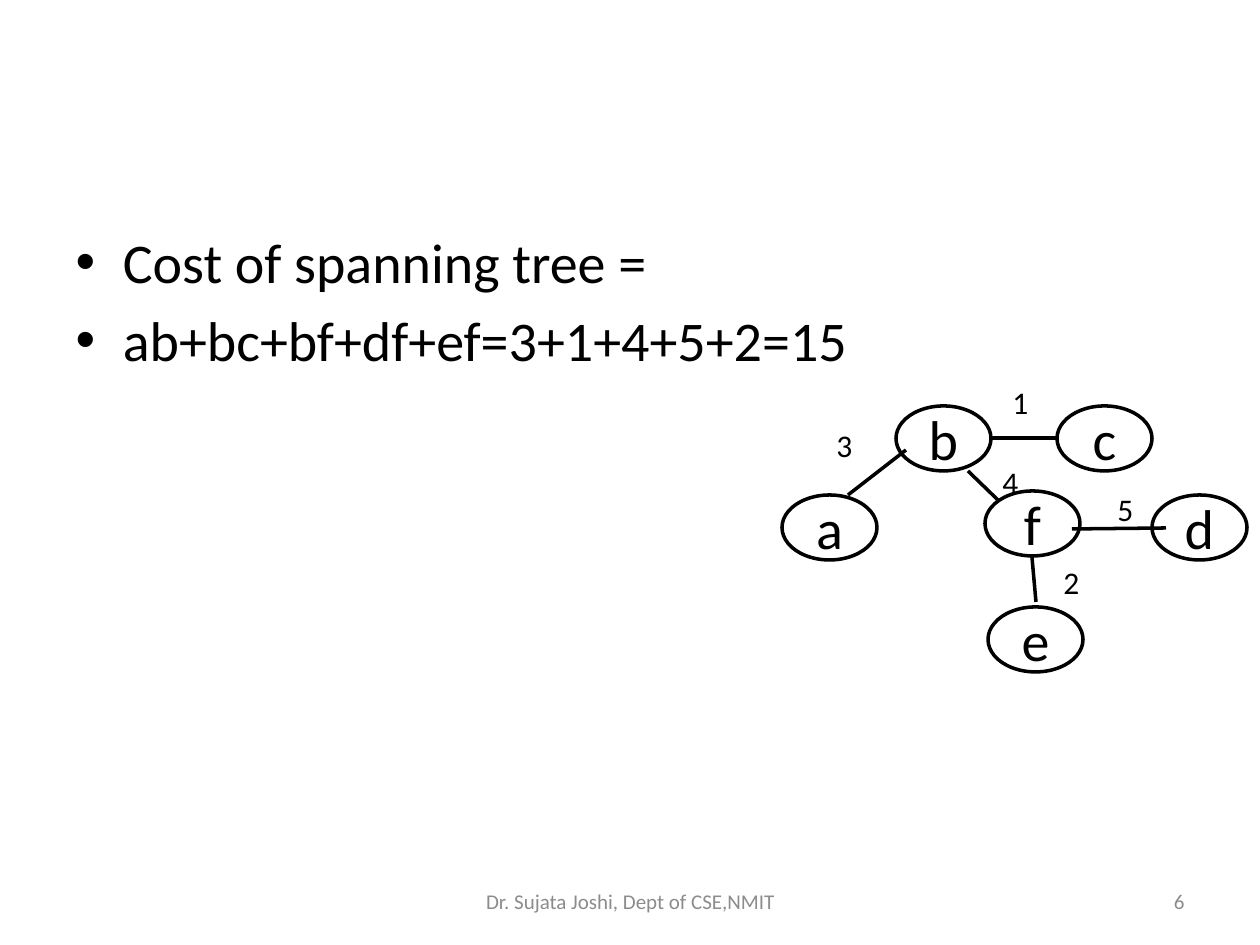
import pptx
import pptx.dml.color
import pptx.enum.shapes
import pptx.enum.text
import pptx.util
from lxml import etree

EMU_PER_PX = 914400 / 126
FONT = "Calibri"
COLORS = {"ink": "000000", "paper": "FFFFFF", "footer": "8C8C8C"}
ALIGN = pptx.enum.text.PP_ALIGN
ANCHOR = pptx.enum.text.MSO_ANCHOR

NODE_SIZE = (95, 65)
LABEL_SIZE = (48, 53)
# Positions are relative to the top left corner of the graph.
NODES = {
    "b": (114, 30), "c": (275, 30), "f": (203, 115),
    "e": (206, 231), "a": (0, 119), "d": (370, 119),
}
# weight, start, end, label position
EDGES = [
    ("1", (210, 62), (275, 62), (218, 1)),
    ("2", (254, 226), (250, 181), (269, 181)),
    ("3", (66, 119), (124, 74), (42, 44)),
    ("4", (186, 95), (217, 125), (208, 81)),
    ("5", (290, 153), (384, 152), (323, 108)),
]


def px(*lengths):
    """Turn px into a list of EMU lengths."""
    return [pptx.util.Emu(round(length * EMU_PER_PX)) for length in lengths]


def rgb(name):
    return pptx.dml.color.RGBColor.from_string(COLORS[name])


def style_line(line):
    line.color.rgb = rgb("ink")
    line.width = pptx.util.Pt(2)


def write(shape, text, size, color="ink", align=ALIGN.LEFT, anchor=ANCHOR.TOP):
    frame = shape.text_frame
    frame.word_wrap = True
    frame.vertical_anchor = anchor
    paragraph = frame.paragraphs[0]
    paragraph.text = text
    paragraph.alignment = align
    paragraph.font.name = FONT
    paragraph.font.size = pptx.util.Pt(size)
    paragraph.font.color.rgb = rgb(color)


def add_node(slide, name, left, top):
    node = slide.shapes.add_shape(
        pptx.enum.shapes.MSO_SHAPE.OVAL, *px(left, top, *NODE_SIZE))
    node.shadow.inherit = False
    node.fill.solid()
    node.fill.fore_color.rgb = rgb("paper")
    style_line(node.line)
    write(node, name, 32, align=ALIGN.CENTER, anchor=ANCHOR.MIDDLE)


def add_edge(slide, start, end):
    edge = slide.shapes.add_connector(
        pptx.enum.shapes.MSO_CONNECTOR.STRAIGHT, *px(*start, *end))
    style_line(edge.line)
    etree.SubElement(edge._element.spPr, pptx.oxml.ns.qn("a:effectLst"))


def add_graph(slide, left, top):
    def place(point):
        return left + point[0], top + point[1]

    for name, corner in NODES.items():
        add_node(slide, name, *place(corner))
    for weight, start, end, corner in EDGES:
        add_edge(slide, place(start), place(end))
        label = slide.shapes.add_textbox(*px(*place(corner), *LABEL_SIZE))
        write(label, weight, 18)


def fill_body(body, lines, box):
    body.left, body.top, body.width, body.height = px(*box)
    body.text_frame.text = "\n".join(lines)
    for paragraph in body.text_frame.paragraphs:
        paragraph.font.name = FONT
        paragraph.font.size = pptx.util.Pt(32)
        paragraph.font.color.rgb = rgb("ink")


def add_footer(slide, left, top, height):
    for text, offset, width, align in (
        ("Dr. Sujata Joshi, Dept of CSE,NMIT", 0, 399, ALIGN.CENTER),
        ("6", 473, 293, ALIGN.RIGHT),
    ):
        box = slide.shapes.add_textbox(*px(left + offset, top, width, height))
        write(box, text, 12, "footer", align, ANCHOR.MIDDLE)


def main():
    presentation = pptx.Presentation()
    presentation.slide_width, presentation.slide_height = px(1260, 945)
    slide = presentation.slides.add_slide(presentation.slide_layouts[1])
    title = slide.shapes.title._element
    title.getparent().remove(title)

    fill_body(
        slide.placeholders[1],
        ["Cost of spanning tree =", "ab+bc+bf+df+ef=3+1+4+5+2=15"],
        (63, 221, 1134, 624),
    )
    add_footer(slide, 431, 876, 50)
    add_graph(slide, 782, 376)
    presentation.save("out.pptx")


if __name__ == "__main__":
    main()
